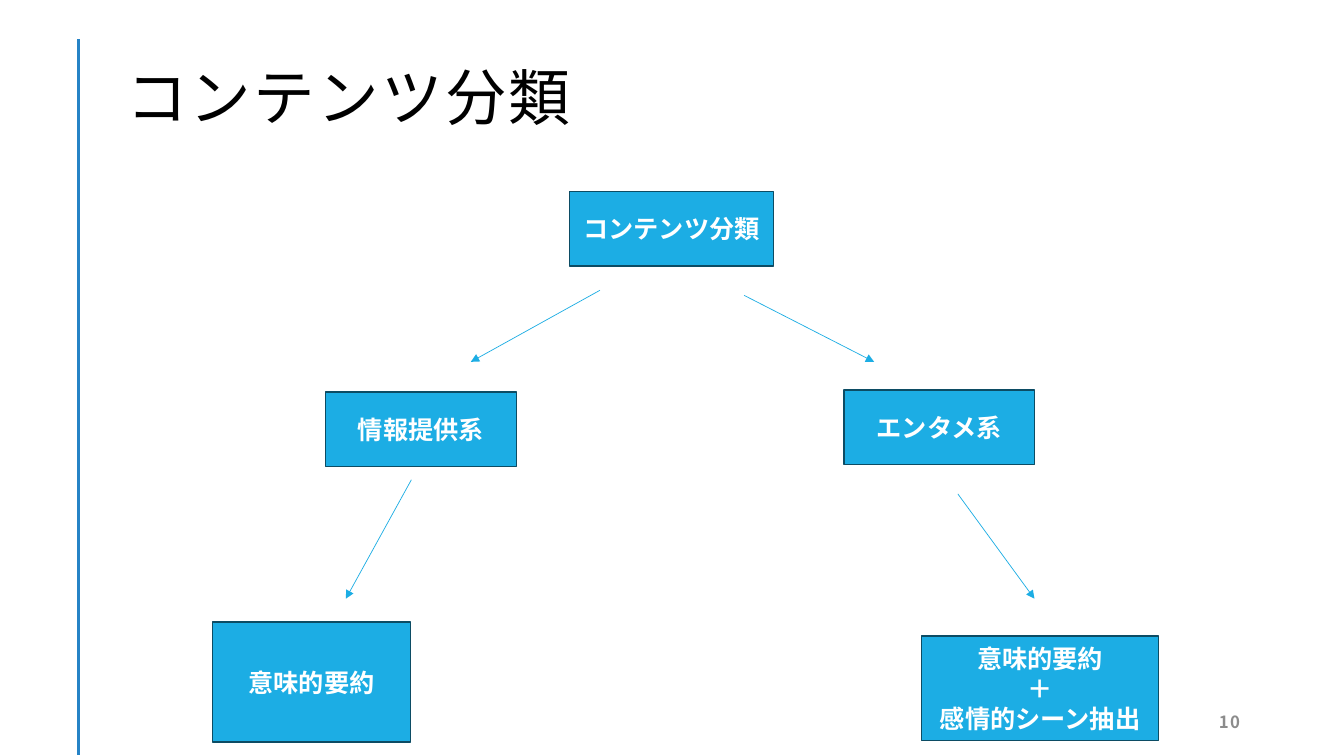
from dataclasses import dataclass

from pptx import Presentation
from pptx.dml.color import RGBColor
from pptx.enum.shapes import MSO_CONNECTOR as Connector, MSO_SHAPE as Shape
from pptx.enum.text import MSO_ANCHOR as Anchor, MSO_AUTO_SIZE as AutoSize, PP_ALIGN as Align
from pptx.oxml.ns import qn
from pptx.util import Inches, Pt
from lxml.etree import SubElement

# Content: boxes are (lines, left, top, width, height)
TITLE = "コンテンツ分類"
PAGE_NUMBER = "10"
BOXES = [
    (["コンテンツ分類"], 5.65, 1.9, 2.02, 0.74),
    (["情報提供系"], 3.23, 3.89, 1.89, 0.74),
    (["エンタメ系"], 8.37, 3.87, 1.89, 0.74),
    (["意味的要約"], 2.11, 6.17, 1.96, 1.19),
    (["意味的要約", "＋", "感情的シーン抽出"], 9.14, 6.31, 2.35, 1.04),
]
# Arrows are (start x, start y, end x, end y)
ARROWS = [
    (5.95, 2.88, 4.67, 3.59),
    (7.38, 2.93, 8.67, 3.59),
    (4.08, 4.76, 3.43, 5.94),
    (9.5, 4.9, 10.26, 5.94),
]
SIDE_RULE = (0.78, 0.39, 0.78, 7.49)


@dataclass(frozen=True)
class Theme:
    font: str = "Noto Sans CJK JP"
    accent: str = "1CADE4"
    box_edge: str = "0C4C64"
    rule: str = "2683C6"
    title: str = "000000"
    box_text: str = "FFFFFF"
    number: str = "8C8C8C"
    title_size: float = 44
    box_size: float = 18
    number_size: float = 12


THEME = Theme()


def rgb(color):
    return RGBColor.from_string(color)


def write_text(shape, lines, *, size, color, bold=False, align=Align.LEFT,
               spacing=0, line_spacing=None, margins=(0.1, 0.05, 0.1, 0.05)):
    frame = shape.text_frame
    frame.word_wrap = True
    frame.auto_size = AutoSize.NONE
    frame.vertical_anchor = Anchor.MIDDLE
    (frame.margin_left, frame.margin_top,
     frame.margin_right, frame.margin_bottom) = map(Inches, margins)
    for index, line in enumerate(lines):
        paragraph = frame.add_paragraph() if index else frame.paragraphs[0]
        paragraph.alignment = align
        if line_spacing:
            paragraph.line_spacing = line_spacing
        run = paragraph.add_run()
        run.text = line
        run.font.size = Pt(size)
        run.font.bold = bold
        run.font.color.rgb = rgb(color)
        run.font.name = THEME.font
        properties = run.font._element
        SubElement(properties, qn("a:ea"), typeface=THEME.font)
        if spacing:
            properties.set("spc", str(round(spacing * 100)))


def add_line(slide, points, color, width, arrow=False):
    line = slide.shapes.add_connector(Connector.STRAIGHT, *map(Inches, points))
    line.line.color.rgb = rgb(color)
    line.line.width = Pt(width)
    if arrow:
        SubElement(line.line._get_or_add_ln(), qn("a:tailEnd"), type="triangle")
    SubElement(line._element.spPr, qn("a:effectLst"))


def add_box(slide, lines, *place):
    box = slide.shapes.add_shape(Shape.RECTANGLE, *map(Inches, place))
    box.shadow.inherit = False
    box.fill.solid()
    box.fill.fore_color.rgb = rgb(THEME.accent)
    box.line.color.rgb = rgb(THEME.box_edge)
    box.line.width = Pt(1)
    write_text(box, lines, size=THEME.box_size, color=THEME.box_text,
               bold=True, align=Align.CENTER)


def main():
    presentation = Presentation()
    presentation.slide_width = Inches(13.33)
    presentation.slide_height = Inches(7.5)
    slide = presentation.slides.add_slide(presentation.slide_layouts[5])
    frame_margins = (0.12, 0.12, 0.12, 0.1)

    # Side rule and page number
    add_line(slide, SIDE_RULE, THEME.rule, 2)
    number = slide.shapes.add_textbox(*map(Inches, (9.42, 6.95, 3, 0.4)))
    write_text(number, [PAGE_NUMBER], size=THEME.number_size, color=THEME.number,
               bold=True, align=Align.RIGHT, spacing=1, margins=frame_margins)

    # Classification tree
    for lines, *place in BOXES:
        add_box(slide, lines, *place)
    for points in ARROWS:
        add_line(slide, points, THEME.accent, 0.5, arrow=True)

    # Title
    title = slide.shapes.title
    title.left, title.top, title.width, title.height = map(Inches, (1.13, 0.18, 11.5, 1.45))
    write_text(title, [TITLE], size=THEME.title_size, color=THEME.title,
               spacing=1.6, line_spacing=1.1, margins=frame_margins)

    presentation.save("out.pptx")


if __name__ == "__main__":
    main()
